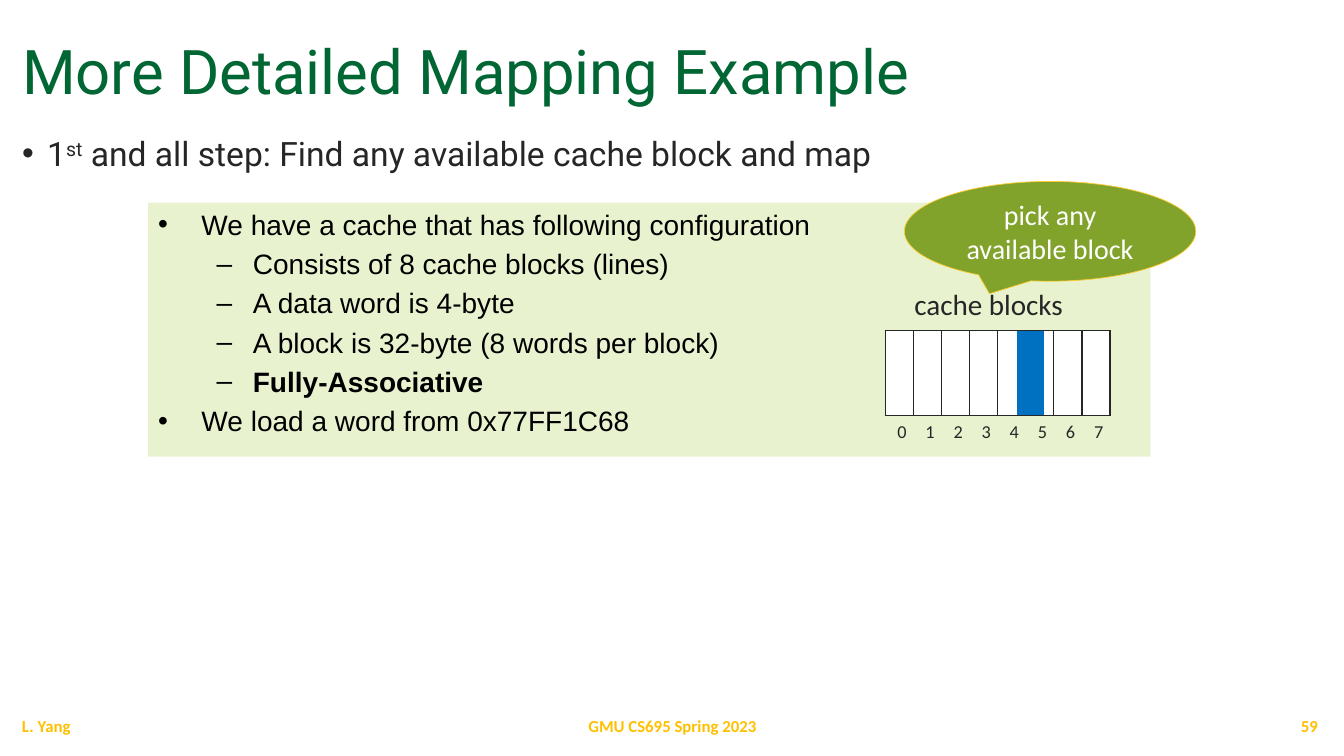
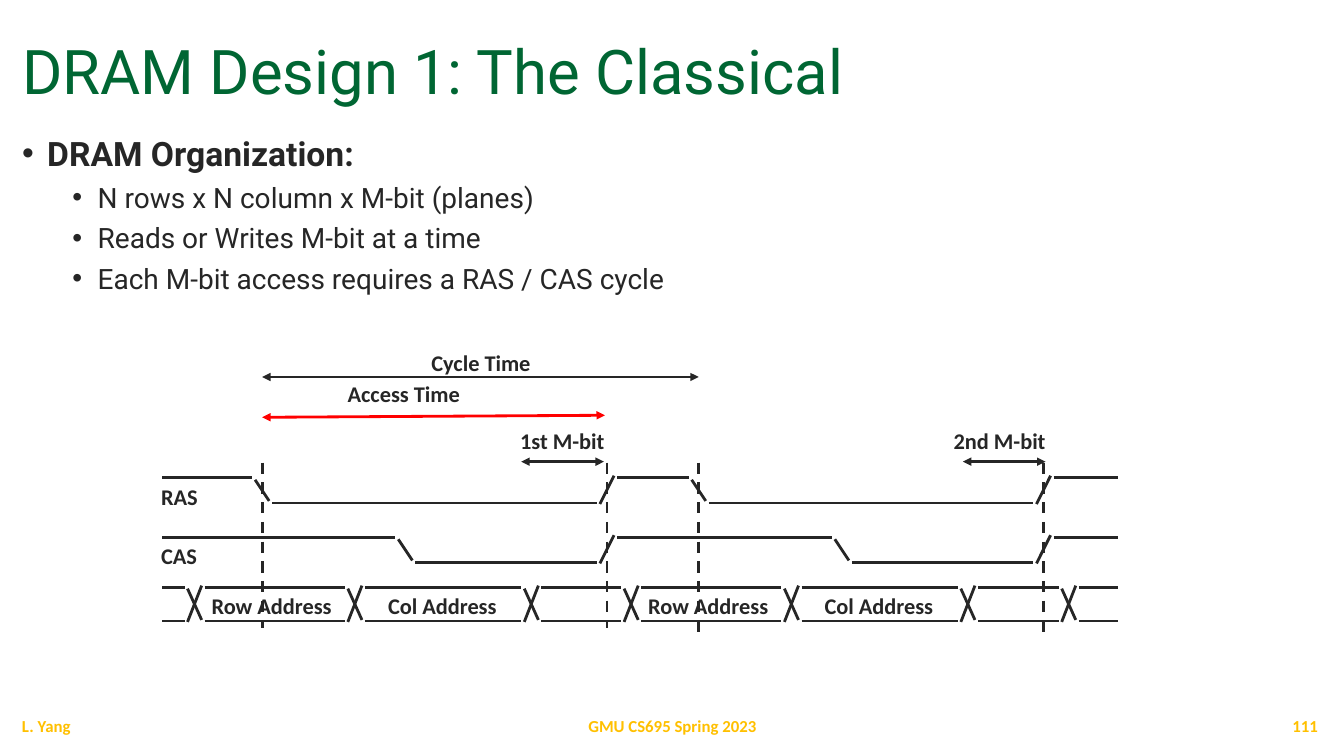
from dataclasses import dataclass

from pptx import Presentation
from pptx.dml.color import RGBColor
from pptx.enum.dml import MSO_LINE
from pptx.enum.shapes import MSO_CONNECTOR, MSO_SHAPE
from pptx.enum.text import MSO_ANCHOR, PP_ALIGN
from pptx.oxml.ns import qn
from pptx.util import Inches, Pt
from lxml.etree import SubElement


@dataclass(frozen=True)
class Theme:
    green: str = "006633"
    ink: str = "262626"
    gold: str = "FFC000"
    black: str = "000000"
    white: str = "FFFFFF"
    panel: str = "E8F2CF"
    callout: str = "81A32B"
    callout_line: str = "FFCC33"
    highlight: str = "0070C0"
    red: str = "FF0000"
    heading_font: str = "Roboto"
    label_font: str = "Calibri"
    panel_font: str = "Arial"
    title_size: float = 44
    body_size: float = 24
    detail_size: float = 20
    caption_size: float = 20.8
    label_size: float = 16
    index_size: float = 13
    footer_size: float = 12


THEME = Theme()
MARGIN = 0.12
CONTENT_WIDTH = 13.05

# Cache blocks, in inches
BLOCK_TOP, BLOCK_WIDTH, BLOCK_HEIGHT = 3.28, 0.26, 0.84

# Timing diagram, in inches
TRACE_START, TRACE_END = 1.61, 11.09
CYCLE = 4.33
EDGE_WIDTH, EDGE_GAP = 0.14, 0.03
BUS_HIGH, BUS_LOW = 5.83, 6.16


def color(value):
    return RGBColor.from_string(value)


def style(paragraph, size, font, ink, bold=False):
    paragraph.font.size = Pt(size)
    paragraph.font.name = font
    paragraph.font.color.rgb = color(ink)
    paragraph.font.bold = bold


def add_text(slide, box, text, size, font, ink, bold=False, wrap=True,
             align=PP_ALIGN.LEFT, anchor=MSO_ANCHOR.TOP):
    frame = slide.shapes.add_textbox(*map(Inches, box)).text_frame
    frame.word_wrap = wrap
    frame.vertical_anchor = anchor
    paragraph = frame.paragraphs[0]
    paragraph.text = text
    paragraph.alignment = align
    style(paragraph, size, font, ink, bold)
    return paragraph


def add_label(slide, left, top, width, text):
    add_text(slide, (left, top, width, 0.37), text, THEME.label_size,
             THEME.label_font, THEME.ink, bold=True, wrap=False)


def add_shape(slide, kind, box, fill, line=None):
    shape = slide.shapes.add_shape(kind, *map(Inches, box))
    shape.shadow.inherit = False
    shape.fill.solid()
    shape.fill.fore_color.rgb = color(fill)
    if line:
        shape.line.color.rgb = color(line)
        shape.line.width = Pt(0.5)
    else:
        shape.line.fill.background()
    return shape


def add_line(slide, x1, y1, x2, y2, ink=THEME.ink, dashed=False, arrows=False):
    connector = slide.shapes.add_connector(
        MSO_CONNECTOR.STRAIGHT, *map(Inches, (x1, y1, x2, y2)))
    connector.line.color.rgb = color(ink)
    connector.line.width = Pt(2)
    if dashed:
        connector.line.dash_style = MSO_LINE.DASH
    properties = connector._element.spPr
    if arrows:
        line = properties.find(qn("a:ln"))
        for end in ("a:headEnd", "a:tailEnd"):
            SubElement(line, qn(end), type="triangle")
    SubElement(properties, qn("a:effectLst"))


def add_bullet(frame, first, parts, bullet, margin, hanging, space_before):
    """Add a bulleted paragraph; parts are (text, baseline) pairs."""
    paragraph = frame.paragraphs[0] if first else frame.add_paragraph()
    paragraph.alignment = PP_ALIGN.LEFT
    if not first:
        paragraph.space_before = Pt(space_before)
    properties = paragraph._p.get_or_add_pPr()
    properties.set("marL", str(Inches(margin)))
    properties.set("indent", str(-Inches(hanging)))
    SubElement(properties, qn("a:buFont"), typeface="Arial")
    SubElement(properties, qn("a:buChar"), char=bullet)
    for text, baseline in parts:
        run = paragraph.add_run()
        run.text = text
        if baseline:
            run._r.get_or_add_rPr().set("baseline", str(baseline))
    return paragraph


def add_body(slide, heading_parts, details=(), bold=False):
    frame = slide.shapes.add_textbox(
        *map(Inches, (MARGIN, 1.27, CONTENT_WIDTH, 5.63))).text_frame
    frame.word_wrap = True
    heading = add_bullet(frame, True, heading_parts, "•", 0.25, 0.25, 0)
    style(heading, THEME.body_size, THEME.heading_font, THEME.ink, bold)
    for detail in details:
        paragraph = add_bullet(frame, False, [(detail, 0)], "•", 0.75, 0.25, 5)
        paragraph.level = 1
        style(paragraph, THEME.detail_size, THEME.heading_font, THEME.ink)


def add_base_slide(presentation, title, number):
    """Add a blank slide with the shared title and footers."""
    slide = presentation.slides.add_slide(presentation.slide_layouts[6])
    heading = add_text(slide, (MARGIN, 0.17, CONTENT_WIDTH, 0.95), title,
                       THEME.title_size, THEME.heading_font, THEME.green,
                       anchor=MSO_ANCHOR.BOTTOM)
    heading.line_spacing = 0.9
    footers = (
        (MARGIN, 3, "L. Yang", PP_ALIGN.LEFT),
        (4.42, 4.5, "GMU CS695 Spring 2023", PP_ALIGN.CENTER),
        (10.17, 3, str(number), PP_ALIGN.RIGHT),
    )
    for left, width, text, align in footers:
        add_text(slide, (left, 7, width, 0.4), text, THEME.footer_size,
                 THEME.label_font, THEME.gold, bold=True, align=align,
                 anchor=MSO_ANCHOR.MIDDLE)
    return slide


def format_cell(cell, fill, borders):
    """Fill a cell (or clear it) and draw only the named sides of L, R, T, B."""
    properties = cell._tc.get_or_add_tcPr()
    for side in "LRTB":
        line = SubElement(properties, qn(f"a:ln{side}"), w=str(Pt(1)))
        if side in borders:
            line_fill = SubElement(line, qn("a:solidFill"))
            SubElement(line_fill, qn("a:srgbClr"), val=THEME.ink)
        else:
            SubElement(line, qn("a:noFill"))
    if fill:
        cell.fill.solid()
        cell.fill.fore_color.rgb = color(fill)
    else:
        cell.fill.background()


def add_block_table(slide, left, columns, row_heights):
    table = slide.shapes.add_table(
        len(row_heights), columns,
        *map(Inches, (left, BLOCK_TOP, columns * BLOCK_WIDTH,
                      sum(row_heights)))).table
    table.first_row = table.horz_banding = False
    for row, height in zip(table.rows, row_heights):
        row.height = Inches(height)
    for column in table.columns:
        column.width = Inches(BLOCK_WIDTH)
    return table


def add_cache_table(slide, left, count):
    table = add_block_table(slide, left, count, (BLOCK_HEIGHT, 0.47))
    for number in range(count):
        format_cell(table.cell(0, number), THEME.white, "LRTB")
        index = table.cell(1, number)
        format_cell(index, None, "T")
        index.margin_left = index.margin_right = Inches(0.12)
        index.margin_top = index.margin_bottom = Inches(0.06)
        index.text = str(number)
        style(index.text_frame.paragraphs[0], THEME.index_size,
              THEME.label_font, THEME.ink)


def add_chosen_block(slide, left):
    table = add_block_table(slide, left, 1, (BLOCK_HEIGHT,))
    format_cell(table.cell(0, 0), THEME.highlight, "")


def add_configuration_panel(slide):
    panel = add_shape(slide, MSO_SHAPE.RECTANGLE, (1.47, 2.01, 9.94, 2.52),
                      THEME.panel)
    frame = panel.text_frame
    frame.word_wrap = True
    frame.vertical_anchor = MSO_ANCHOR.TOP
    items = (
        (0, "We have a cache that has following configuration", False),
        (1, "Consists of 8 cache blocks (lines)", False),
        (1, "A data word is 4-byte", False),
        (1, "A block is 32-byte (8 words per block)", False),
        (1, "Fully-Associative", True),
        (0, "We load a word from 0x77FF1C68", False),
    )
    bullets = (("•", 0.43, 0.43), ("–", 0.94, 0.36))
    for position, (level, text, bold) in enumerate(items):
        paragraph = add_bullet(frame, position == 0, [(text, 0)],
                               *bullets[level], 4)
        paragraph.level = level
        style(paragraph, THEME.detail_size, THEME.panel_font, THEME.black, bold)


def add_callout(slide, text):
    callout = add_shape(slide, MSO_SHAPE.OVAL_CALLOUT, (8.97, 1.8, 2.89, 0.99),
                        THEME.callout, THEME.callout_line)
    frame = callout.text_frame
    frame.word_wrap = True
    frame.vertical_anchor = MSO_ANCHOR.MIDDLE
    paragraph = frame.paragraphs[0]
    paragraph.text = text
    paragraph.alignment = PP_ALIGN.CENTER
    style(paragraph, THEME.detail_size, THEME.label_font, THEME.white)


def flat_spans(edges):
    """Return the level stretches between consecutive edges."""
    starts = [TRACE_START] + [x + EDGE_WIDTH + EDGE_GAP for x in edges]
    ends = [x - EDGE_GAP for x in edges] + [TRACE_END]
    return zip(starts, ends)


def add_signal(slide, name, high, edges):
    """Draw a signal that starts high and toggles at every edge."""
    low = high + 0.25
    for position, (start, end) in enumerate(flat_spans(edges)):
        level = low if position % 2 else high
        add_line(slide, start, level, end, level)
    for position, x in enumerate(edges):
        start, end = ((low + 0.01, high - 0.02) if position % 2
                      else (high + 0.02, low - 0.02))
        add_line(slide, x, start, x + EDGE_WIDTH, end)
    add_label(slide, 1.5, high, 0.57, name)


def add_address_bus(slide, crossings):
    for start, end in flat_spans(crossings):
        for level in (BUS_HIGH, BUS_LOW):
            add_line(slide, start, level, end, level)
    for x in crossings:
        add_line(slide, x, BUS_HIGH + 0.01, x + EDGE_WIDTH, BUS_LOW - 0.01)
        add_line(slide, x, BUS_LOW + 0.01, x + EDGE_WIDTH, BUS_HIGH - 0.02)


def add_timing_diagram(slide):
    shifts = (0, CYCLE)
    add_signal(slide, "RAS", 4.74, [x + s for s in shifts for x in (2.53, 5.95)])
    add_signal(slide, "CAS", 5.33, [x + s for s in shifts for x in (3.95, 5.95)])
    crossings = [x + s for s in shifts for x in (1.86, 3.45, 5.2)]
    add_address_bus(slide, crossings + [10.53])
    for x, bottom in ((2.6, 6.23), (6.02, 6.23), (6.93, 6.31), (10.35, 6.31)):
        add_line(slide, x, 4.59, x, bottom, dashed=True)
    for shift in shifts:
        add_label(slide, 2 + shift, BUS_HIGH, 1.41, "Row Address")
        add_label(slide, 3.75 + shift, BUS_HIGH, 1.29, "Col Address")
    durations = (
        ("Cycle Time", 4.18, 3.41, 1.19, 2.6, 6.93, 3.74, 3.74, THEME.ink),
        ("Access Time", 3.35, 3.72, 1.33, 2.6, 6, 4.14, 4.12, THEME.red),
        ("1st M-bit", 5.06, 4.19, 1.05, 5.17, 5.99, 4.58, 4.58, THEME.ink),
        ("2nd M-bit", 9.36, 4.19, 1.12, 9.55, 10.37, 4.58, 4.58, THEME.ink),
    )
    for text, left, top, width, x1, x2, y1, y2, ink in durations:
        add_label(slide, left, top, width, text)
        add_line(slide, x1, y1, x2, y2, ink, arrows=True)


def build_mapping_slide(presentation):
    slide = add_base_slide(presentation, "More Detailed Mapping Example", 59)
    add_body(slide, [("1", 0), ("st", 30000),
                     (" and all step: Find any available cache block and map", 0)])
    add_configuration_panel(slide)
    add_cache_table(slide, 8.78, 8)
    add_text(slide, (8.97, 2.79, 1.69, 0.45), "cache blocks",
             THEME.caption_size, THEME.label_font, THEME.ink, wrap=False)
    add_chosen_block(slide, 10.09)
    add_callout(slide, "pick any available block")


def build_dram_slide(presentation):
    slide = add_base_slide(presentation, "DRAM Design 1: The Classical", 111)
    add_body(slide, [("DRAM Organization:", 0)],
             ("N rows x N column x M-bit (planes)",
              "Reads or Writes M-bit at a time",
              "Each M-bit access requires a RAS / CAS cycle"), bold=True)
    add_timing_diagram(slide)


def main():
    presentation = Presentation()
    presentation.slide_width = Inches(13.33)
    presentation.slide_height = Inches(7.5)
    build_mapping_slide(presentation)
    build_dram_slide(presentation)
    presentation.save("out.pptx")


if __name__ == "__main__":
    main()
